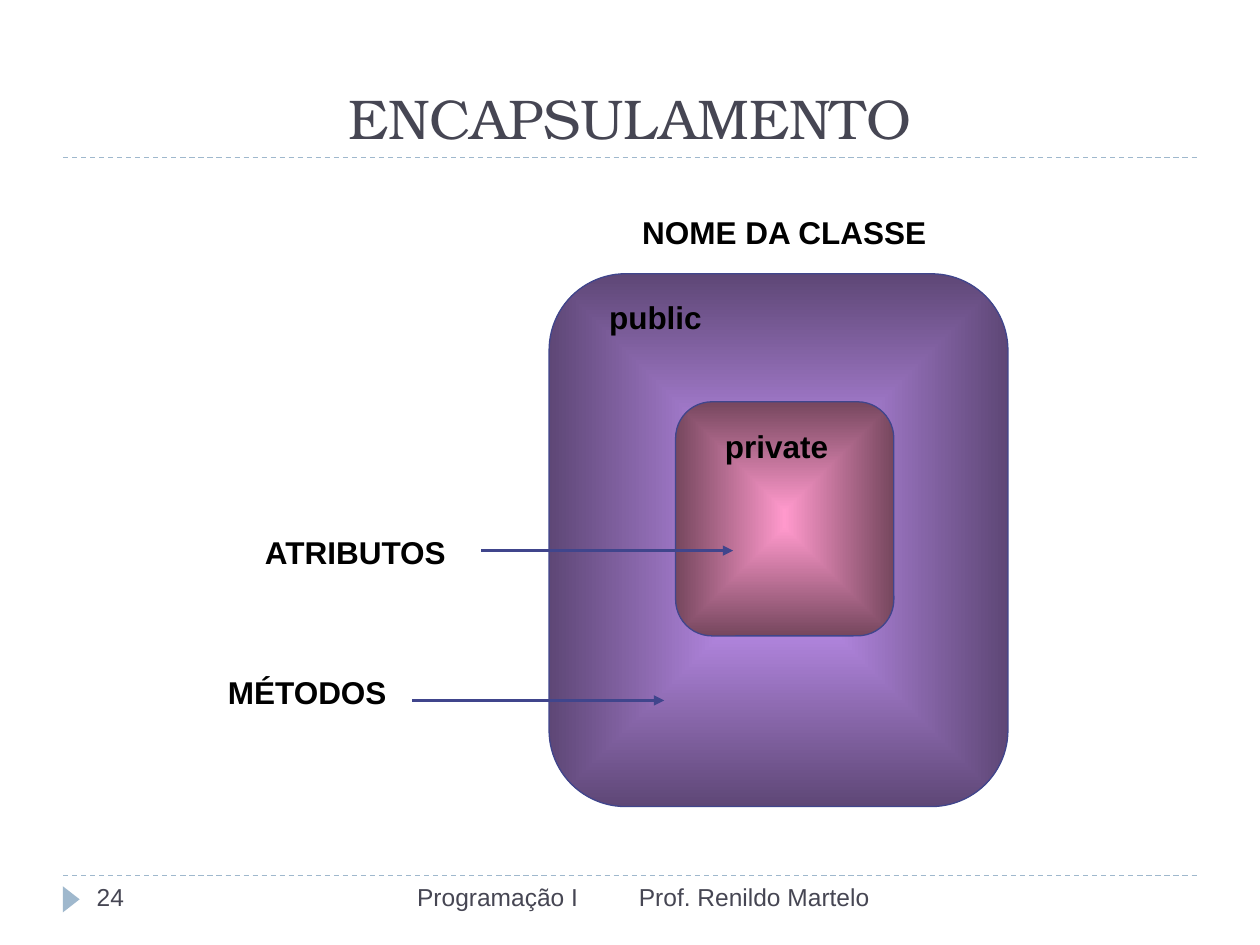
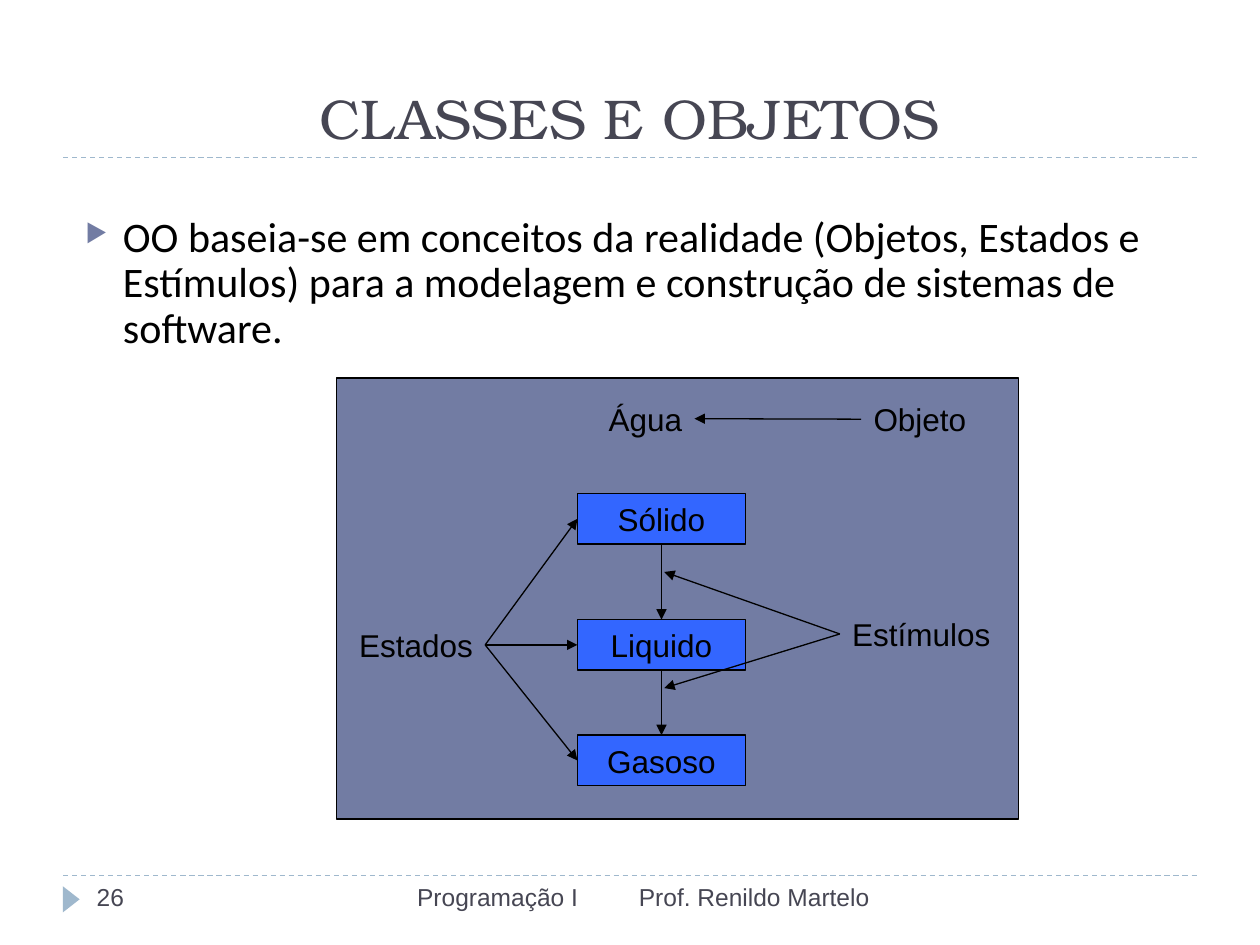
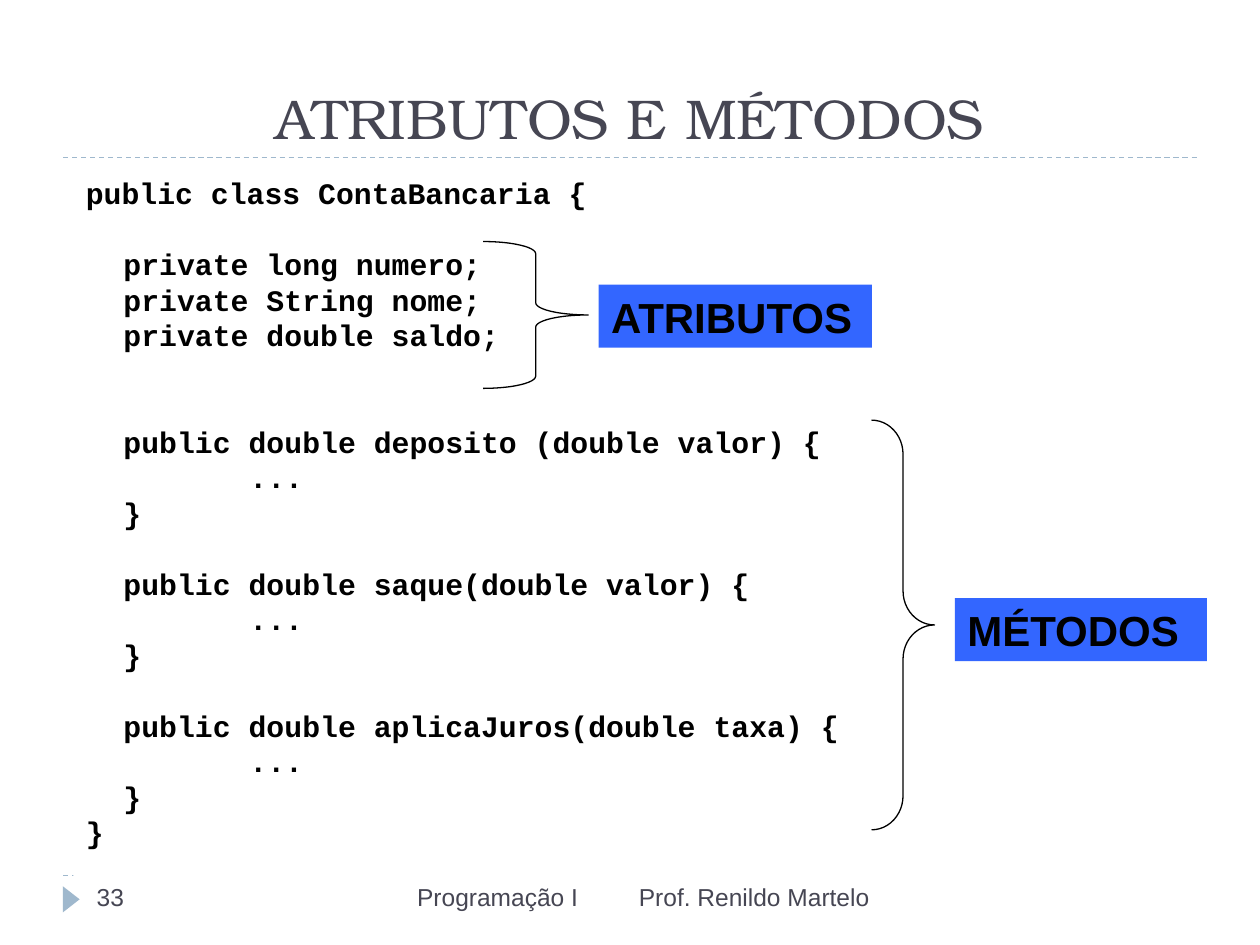
from dataclasses import dataclass
from typing import NamedTuple

from lxml.etree import SubElement
from pptx import Presentation
from pptx.dml.color import RGBColor as Rgb
from pptx.enum.dml import MSO_LINE as Dash
from pptx.enum.shapes import MSO_CONNECTOR as Link, MSO_SHAPE as Form
from pptx.enum.text import MSO_ANCHOR as Anchor, PP_ALIGN as Align
from pptx.oxml.ns import qn
from pptx.util import Cm, Pt

TOP, LEFT, BOTTOM, RIGHT = range(4)


class Box(NamedTuple):
    """Left, top, width and height in centimetres."""
    x: float
    y: float
    w: float
    h: float

    def cm(self) -> list:
        return [Cm(v) for v in self]


class Point(NamedTuple):
    x: float
    y: float


class Pad(NamedTuple):
    """Left, right and vertical margins in centimetres."""
    left: float
    right: float
    edge: float


class Style(NamedTuple):
    font: str
    size: float
    color: str
    bold: bool = False


@dataclass(frozen=True)
class Theme:
    ink: str = "000000"
    paper: str = "FFFFFF"
    rule: str = "9FB8CD"
    slate: str = "727CA3"
    blue: str = "3366FF"
    edge: str = "40458C"
    purple: tuple = ("CC99FF", "5E4776")
    pink: tuple = ("FF99CC", "76475E")
    title: Style = Style("TeX Gyre Bonum", 32, "464653")
    foot: Style = Style("Arial", 14, "464653")
    body: Style = Style("Calibri", 24, "000000")
    label: Style = Style("Arial", 18, "000000")
    strong: Style = Style("Arial", 18, "000000", True)
    tag: Style = Style("Arial", 24, "000000", True)
    code: Style = Style("Courier New", 17, "000000", True)
    thin: float = 0.75
    thick: float = 1.5
    pitch: float = 20.3


THEME = Theme()
WIDE, SLIM = Pad(0.25, 0.25, 0.13), Pad(0.13, 0.13, 0.08)
OPEN, FLAT = Pad(0.25, 0, 0.13), Pad(0.25, 0.25, 0)


class Label(NamedTuple):
    text: str
    box: Box


class Code(NamedTuple):
    text: str
    depth: int = 1
    gap: int = 0  # blank lines above


def add_run(para, text: str, style: Style) -> None:
    run = para.add_run()
    run.text = text
    run.font.name, run.font.size = style.font, Pt(style.size)
    run.font.bold = style.bold
    run.font.color.rgb = Rgb.from_string(style.color)


def write(shape, text: str, style: Style, align=Align.LEFT, pad: Pad = WIDE):
    """Set the frame of a shape and fill its first paragraph."""
    frame = shape.text_frame
    frame.word_wrap = True
    frame.vertical_anchor = Anchor.TOP
    frame.margin_left, frame.margin_right = Cm(pad.left), Cm(pad.right)
    frame.margin_top = frame.margin_bottom = Cm(pad.edge)
    para = frame.paragraphs[0]
    para.alignment = align
    add_run(para, text, style)
    return para


def add_text(slide, label: Label, style: Style, **look):
    shape = slide.shapes.add_textbox(*label.box.cm())
    write(shape, label.text, style, **look)
    return shape


def add_form(slide, form, box: Box, fill: str = "", line: str = ""):
    shape = slide.shapes.add_shape(form, *box.cm())
    shape.shadow.inherit = False
    if fill:
        shape.fill.solid()
        shape.fill.fore_color.rgb = Rgb.from_string(fill)
    else:
        shape.fill.background()
    if line:
        shape.line.color.rgb = Rgb.from_string(line)
        shape.line.width = Pt(THEME.thin)
    else:
        shape.line.fill.background()
    return shape


def add_glow(slide, box: Box, colors: tuple) -> None:
    """Rounded box shaded from its centre to its rim."""
    shape = add_form(slide, Form.ROUNDED_RECTANGLE, box, line=THEME.edge)
    shape.fill.gradient()
    for stop, color, place in zip(shape.fill.gradient_stops, colors, (0, 1)):
        stop.color.rgb = Rgb.from_string(color)
        stop.position = place
    grad = shape._element.spPr.find(qn("a:gradFill"))
    grad.remove(grad.find(qn("a:lin")))
    shade = SubElement(grad, qn("a:path"), {"path": "rect"})
    SubElement(shade, qn("a:fillToRect"), {side: "50000" for side in "ltrb"})


def add_line(slide, start: Point, end: Point, color: str, width: float):
    line = slide.shapes.add_connector(Link.STRAIGHT, *(Cm(v) for v in start + end))
    line.line.color.rgb = Rgb.from_string(color)
    line.line.width = Pt(width)
    SubElement(line._element.spPr, qn("a:effectLst"))
    return line


def add_arrow(slide, start: Point, end: Point, color=THEME.ink, width=THEME.thin):
    arrow = add_line(slide, start, end, color, width)
    SubElement(arrow.line._get_or_add_ln(), qn("a:tailEnd"), {"type": "triangle"})
    return arrow


def join(slide, source, side: int, target, spot: int = LEFT) -> None:
    """Arrow from a side of one shape to a side of another, or to a point."""
    free = isinstance(target, Point)
    arrow = add_arrow(slide, Point(0, 0), target if free else Point(1, 1))
    arrow.begin_connect(source, side)
    if not free:
        arrow.end_connect(target, spot)


def add_brace(slide, box: Box) -> None:
    brace = add_form(slide, Form.RIGHT_BRACE, box, line=THEME.ink)
    brace.adjustments[0] = box.h / 12 / box.w


def set_indent(para, left: float, first: float = 0) -> None:
    props = para._p.get_or_add_pPr()
    props.set("marL", str(Cm(left)))
    props.set("indent", str(Cm(first)))


def add_slide(deck, title: str, number: int):
    """New slide with title, rules, marker and footer."""
    slide = deck.slides.add_slide(deck.slide_layouts[5])
    head = slide.shapes.title
    head.left, head.top, head.width, head.height = Box(1.27, 0.43, 22.86, 2.74).cm()
    write(head, title, THEME.title, Align.CENTER)
    head.text_frame.vertical_anchor = Anchor.BOTTOM
    for y in (17.65, 3.18):
        rule = add_line(slide, Point(1.27, y), Point(24.13, y), THEME.rule, THEME.thin)
        rule.line.dash_style = Dash.DASH
    mark = add_form(slide, Form.ISOSCELES_TRIANGLE, Box(1.17, 17.96, 0.53, 0.34), THEME.rule)
    mark.rotation = 90
    foot = slide.shapes.add_textbox(*Box(8.16, 17.65, 10.8, 1.02).cm())
    para = write(foot, "Programação I", THEME.foot)
    tabs = SubElement(para._p.get_or_add_pPr(), qn("a:tabLst"))
    SubElement(tabs, qn("a:tab"), {"pos": str(Cm(4.47)), "algn": "l"})
    add_run(para, "\tProf. Renildo Martelo", THEME.foot)
    add_text(slide, Label(str(number), Box(1.7, 17.65, 5.51, 1.02)), THEME.foot)
    return slide


def draw_capsule(deck) -> None:
    slide = add_slide(deck, "ENCAPSULAMENTO", 24)
    add_glow(slide, Box(11.07, 5.52, 9.25, 10.74), THEME.purple)
    add_glow(slide, Box(13.62, 8.1, 4.4, 4.72), THEME.pink)
    for label in (
        Label("NOME DA CLASSE", Box(12.7, 4.22, 6.22, 1.29)),
        Label("public", Box(12.01, 5.93, 2.41, 1.04)),
        Label("private", Box(14.32, 8.52, 2.67, 1.04)),
        Label("ATRIBUTOS", Box(5.08, 10.67, 4.17, 1.29)),
        Label("MÉTODOS", Box(4.24, 13.48, 3.91, 1.04)),
    ):
        add_text(slide, label, THEME.strong, align=Align.CENTER, pad=SLIM)
    for start in (Point(9.7, 11.1), Point(8.31, 14.12)):
        add_arrow(slide, start, Point(start.x + 5.08, start.y), THEME.edge, THEME.thick)


def draw_states(deck) -> None:
    slide = add_slide(deck, "CLASSES E OBJETOS", 26)
    body = slide.shapes.add_textbox(*Box(1.47, 4.23, 22.86, 3.18).cm())
    para = write(
        body,
        "OO baseia-se em conceitos da realidade (Objetos, Estados e Estímulos) "
        "para a modelagem e construção de sistemas de software.",
        THEME.body,
    )
    para.line_spacing = 0.9
    set_indent(para, 0.76, -0.76)
    props = para._p.get_or_add_pPr()
    tint = SubElement(props, qn("a:buClr"))
    SubElement(tint, qn("a:srgbClr"), {"val": THEME.slate})
    SubElement(props, qn("a:buSzPct"), {"val": "60000"})
    SubElement(props, qn("a:buChar"), {"char": "▶"})

    add_form(slide, Form.RECTANGLE, Box(6.78, 7.62, 13.76, 8.89), THEME.slate, THEME.ink)
    states = []
    for name, y in (("Sólido", 9.95), ("Liquido", 12.49), ("Gasoso", 14.82)):
        state = add_form(slide, Form.RECTANGLE, Box(11.64, y, 3.39, 1.02), THEME.blue, THEME.ink)
        write(state, name, THEME.label, Align.CENTER)
        states.append(state)
    group, water, thing, cause = (
        add_text(slide, label, THEME.label, pad=OPEN)
        for label in (
            Label("Estados", Box(6.99, 12.49, 2.79, 1.02)),
            Label("Água", Box(12.02, 7.93, 1.98, 1.02)),
            Label("Objeto", Box(17.36, 7.94, 2.36, 1.02)),
            Label("Estímulos", Box(16.93, 12.27, 3.3, 1.02)),
        )
    )
    for state in states:
        join(slide, group, RIGHT, state)
    for upper, lower in zip(states, states[1:]):
        join(slide, upper, BOTTOM, lower, TOP)
    for y in (11.53, 13.87):
        join(slide, cause, LEFT, Point(13.39, y))
    join(slide, thing, LEFT, water, RIGHT)


def draw_code(deck) -> None:
    slide = add_slide(deck, "ATRIBUTOS E MÉTODOS", 33)
    lines = [
        Code("public class ContaBancaria {", 0),
        Code("private long numero;", gap=1),
        Code("private String nome;"),
        Code("private double saldo;"),
    ]
    for head, gap in (
        ("deposito (double valor)", 2),
        ("saque(double valor)", 1),
        ("aplicaJuros(double taxa)", 1),
    ):
        lines += [Code(f"public double {head} {{", gap=gap), Code("...", 2), Code("}")]
    lines.append(Code("}", 0))

    panel = slide.shapes.add_textbox(*Box(1.48, 3.53, 23.06, 14.25).cm())
    panel.fill.solid()
    panel.fill.fore_color.rgb = Rgb.from_string(THEME.paper)
    frame = panel.text_frame
    para = write(panel, lines[0].text, THEME.code, pad=FLAT)
    para.line_spacing = Pt(THEME.pitch)
    for line in lines[1:]:
        para = frame.add_paragraph()
        para.line_spacing = Pt(THEME.pitch)
        para.space_before = Pt(line.gap * THEME.pitch)
        set_indent(para, (0, 0.76, 3.3)[line.depth])
        add_run(para, line.text, THEME.code)

    for label, brace in (
        (Label("ATRIBUTOS", Box(12.07, 5.74, 5.51, 1.27)), Box(9.74, 4.87, 2.12, 2.96)),
        (Label("MÉTODOS", Box(19.25, 12.06, 5.08, 1.27)), Box(17.57, 8.47, 1.27, 8.26)),
    ):
        tag = add_form(slide, Form.RECTANGLE, label.box, THEME.blue)
        write(tag, label.text, THEME.tag)
        add_brace(slide, brace)


def main() -> None:
    deck = Presentation()
    deck.slide_width, deck.slide_height = Cm(25.4), Cm(19.05)
    draw_capsule(deck)
    draw_states(deck)
    draw_code(deck)
    deck.save("out.pptx")


if __name__ == "__main__":
    main()
